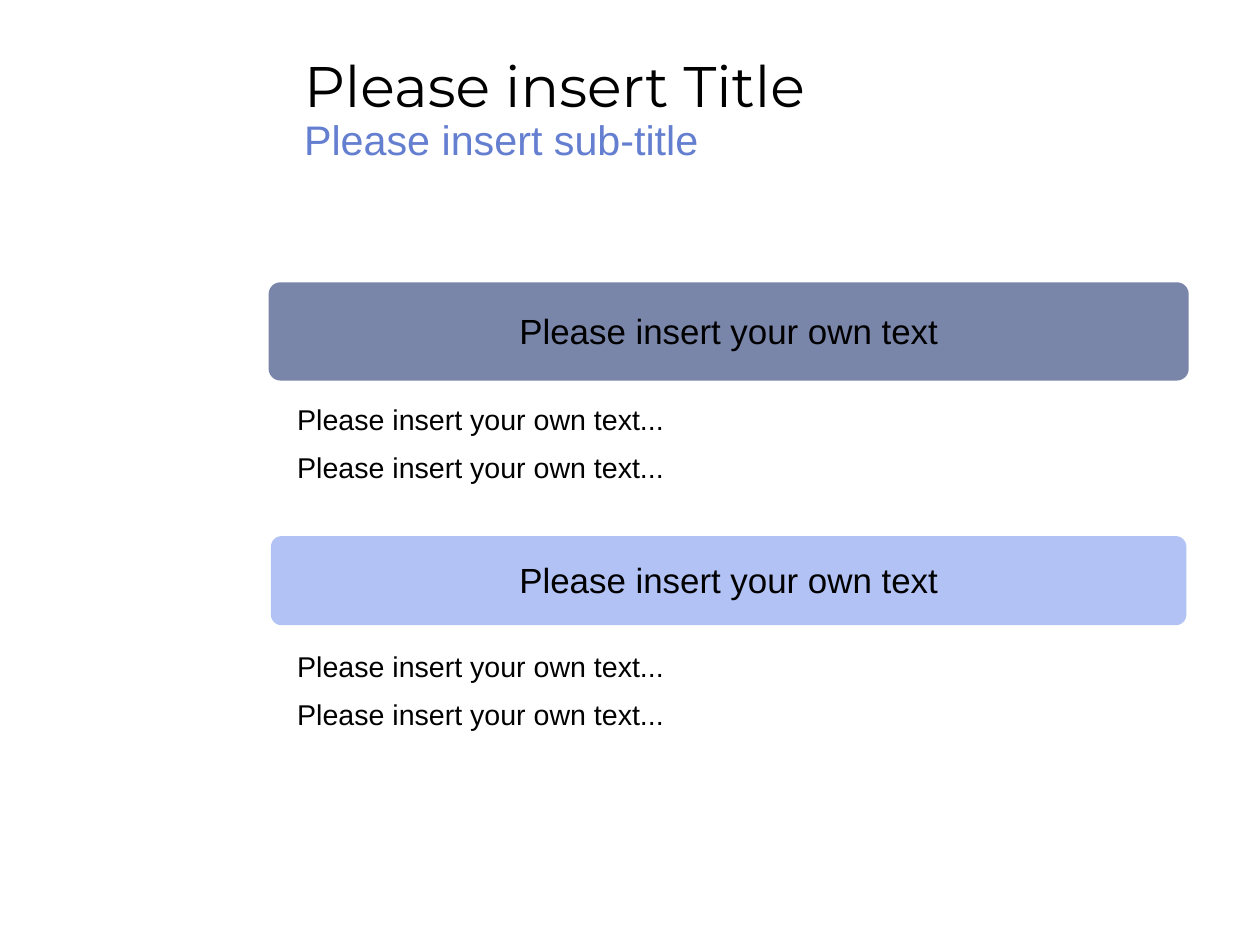
from pptx import Presentation, util as u
from pptx.dml.color import RGBColor
from pptx.enum import shapes, text
from pptx.oxml.ns import qn
from lxml import etree

BLACK = "000000"


def paint(color_format, hex_color):
    color_format.rgb = RGBColor.from_string(hex_color)


class SlideBuilder:
    font = "Arial"
    line_spacing = 0.93

    def __init__(self, slide):
        self.slide = slide

    def style(self, paragraph, size, color=BLACK, font=None, spacing=None,
              align=text.PP_ALIGN.LEFT):
        paragraph.font.name = font or self.font
        paragraph.font.size = u.Pt(size)
        paint(paragraph.font.color, color)
        paragraph.alignment = align
        paragraph.line_spacing = spacing or self.line_spacing
        paragraph.space_before = u.Pt(0)

    def place(self, placeholder, left, top, width, height):
        """Move a placeholder and return its top-anchored text frame."""
        placeholder.left, placeholder.top = u.Inches(left), u.Inches(top)
        placeholder.width, placeholder.height = u.Inches(width), u.Inches(height)
        frame = placeholder.text_frame
        frame.auto_size = text.MSO_AUTO_SIZE.NONE
        frame.vertical_anchor = text.MSO_ANCHOR.TOP
        return frame

    def heading(self, title, subtitle):
        frame = self.place(self.slide.shapes.title, 2.56, 0.28, 7.91, 1.21)
        frame.text = f"{title}\n{subtitle}"
        self.style(frame.paragraphs[0], 36, font="Montserrat", spacing=1.18)
        self.style(frame.paragraphs[1], 26, "647ED0")

    def banner(self, caption, left, top, width, height, fill):
        bar = self.slide.shapes.add_shape(
            shapes.MSO_SHAPE.ROUNDED_RECTANGLE, u.Inches(left), u.Inches(top),
            u.Inches(width), u.Inches(height))
        bar.adjustments[0] = 0.12
        bar.shadow.inherit = False
        bar.fill.solid()
        paint(bar.fill.fore_color, fill)
        bar.line.fill.background()
        frame = bar.text_frame
        frame.margin_top = u.Inches(0.07)
        frame.vertical_anchor = text.MSO_ANCHOR.MIDDLE
        frame.text = caption
        self.style(frame.paragraphs[0], 22, align=text.PP_ALIGN.CENTER)

    def lines(self, index, items, top):
        frame = self.place(self.slide.placeholders[index], 2.43, top, 7.94, 1.07)
        frame.text = "\n".join(items)
        for number, paragraph in enumerate(frame.paragraphs):
            self.style(paragraph, 18, spacing=1.4 if number else None)
            properties = paragraph._p.get_or_add_pPr()
            properties.set("marL", str(u.Inches(0.07)))
            properties.set("indent", "0")
            no_bullet = etree.SubElement(properties, qn("a:buNone"))
            properties.find(qn("a:defRPr")).addprevious(no_bullet)


def main():
    deck = Presentation()
    deck.slide_width, deck.slide_height = u.Cm(28), u.Cm(21)
    two_content = deck.slide_layouts[3]
    builder = SlideBuilder(deck.slides.add_slide(two_content))

    builder.heading("Please insert Title", "Please insert sub-title")
    prompt = "Please insert your own text"
    sections = [
        ((2.35, 2.47, 8.05, 0.86), "7985A9", 3.49),
        ((2.37, 4.69, 8.01, 0.78), "B2C2F5", 5.65),
    ]
    for index, (box, fill, lines_top) in enumerate(sections, start=1):
        builder.banner(prompt, *box, fill)
        builder.lines(index, [prompt + "..."] * 2, lines_top)
    deck.save("out.pptx")


if __name__ == "__main__":
    main()
